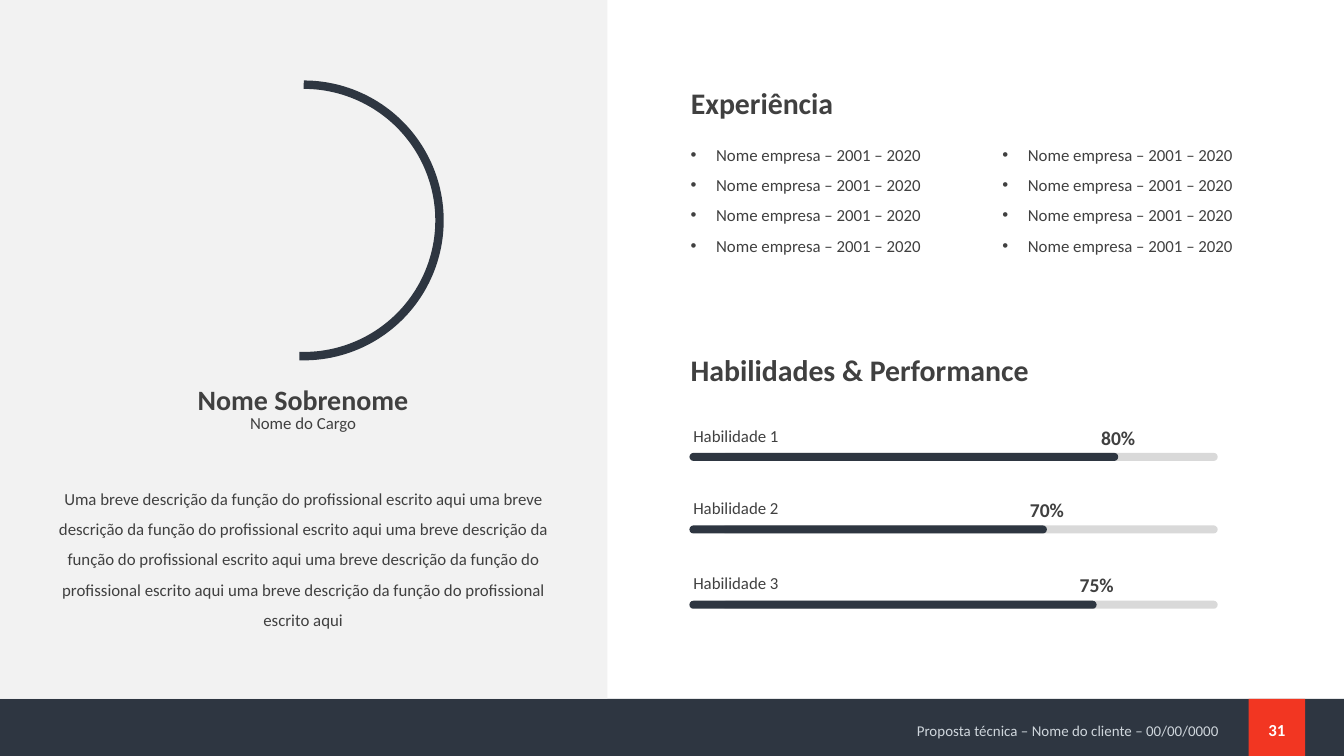
from dataclasses import dataclass

from lxml import etree
from pptx import Presentation
from pptx.dml.color import RGBColor
from pptx.enum.shapes import MSO_SHAPE
from pptx.enum.text import MSO_ANCHOR, MSO_AUTO_SIZE, PP_ALIGN
from pptx.oxml.ns import qn
from pptx.util import Inches, Pt

RECT, ROUND, ARC = MSO_SHAPE.RECTANGLE, MSO_SHAPE.ROUNDED_RECTANGLE, MSO_SHAPE.ARC
LEFT, CENTER, RIGHT = PP_ALIGN.LEFT, PP_ALIGN.CENTER, PP_ALIGN.RIGHT
TOP, MIDDLE = MSO_ANCHOR.TOP, MSO_ANCHOR.MIDDLE
TITLE_ONLY = 5
SLIDE_W = 10
SLIDE_H = SLIDE_W * 9 / 16
FOOTER_Y = 5.2


@dataclass(frozen=True)
class Theme:
    font: str = "Calibri"
    navy: str = "2E3641"
    red: str = "F23622"
    panel: str = "F2F2F2"
    track: str = "D9D9D9"
    text: str = "404040"
    footer: str = "CFD6DC"
    white: str = "FFFFFF"
    heading: float = 16
    name: float = 15
    value: float = 10.5
    body: float = 9
    small: float = 8


T = Theme()
DESCRIPTION = " ".join(
    ["Uma breve descrição da função do profissional escrito aqui"]
    + ["uma breve descrição da função do profissional escrito aqui"] * 4
)
JOBS = ["Nome empresa – 2001 – 2020"] * 4
SKILLS = [
    ("Habilidade 1", "80%", 3.37, 3.19),
    ("Habilidade 2", "70%", 3.91, 2.66),
    ("Habilidade 3", "75%", 4.47, 3.03),
]


def inches(box):
    return [Inches(v) for v in box]


def set_attrs(obj, values):
    for name, value in values.items():
        setattr(obj, name, value)


def add_bullet(p):
    pPr = p._p.get_or_add_pPr()
    pPr.set("marL", str(Inches(0.19)))
    pPr.set("indent", str(-Inches(0.19)))
    etree.SubElement(pPr, qn("a:buFont")).set("typeface", "Arial")
    etree.SubElement(pPr, qn("a:buChar")).set("char", "•")


def write(shape, lines, size=T.body, color=T.text, bold=False, align=LEFT,
          spacing=1.0, anchor=TOP, inset=0.05, bullets=False):
    tf = shape.text_frame
    set_attrs(tf, {
        "word_wrap": True, "auto_size": MSO_AUTO_SIZE.NONE,
        "vertical_anchor": anchor,
        "margin_left": Inches(0.1), "margin_right": Inches(0.1),
        "margin_top": Inches(inset), "margin_bottom": Inches(inset),
    })
    for i, line in enumerate(lines):
        p = tf.add_paragraph() if i else tf.paragraphs[0]
        set_attrs(p, {"alignment": align, "line_spacing": spacing})
        if bullets:
            add_bullet(p)
        r = p.add_run()
        r.text = line
        set_attrs(r.font, {"name": T.font, "size": Pt(size), "bold": bold})
        r.font.color.rgb = RGBColor.from_string(color)


def add_text(s, box, lines, **style):
    write(s.shapes.add_textbox(*inches(box)), lines, **style)


def add_title(s, box, text, **style):
    title = s.shapes.title
    set_attrs(title, dict(zip(("left", "top", "width", "height"), inches(box))))
    write(title, [text], **style)


def add_block(s, box, color, kind=RECT):
    sp = s.shapes.add_shape(kind, *inches(box))
    sp.shadow.inherit = False
    sp.fill.solid()
    sp.fill.fore_color.rgb = RGBColor.from_string(color)
    sp.line.fill.background()
    if kind == ROUND:
        sp.adjustments[0] = 0.5


def add_photo_arc(s, box):
    sp = s.shapes.add_shape(ARC, *inches(box))
    sp.shadow.inherit = False
    sp.adjustments[0], sp.adjustments[1] = 162, 55.1
    sp.fill.background()
    sp.line.color.rgb = RGBColor.from_string(T.navy)
    sp.line.width = Pt(4.5)


def add_skill(s, label, value, y, width):
    left = 5.13
    add_block(s, (5.37, y, 3.69, 0.06), T.track, ROUND)
    add_block(s, (left, y, width, 0.06), T.navy, ROUND)
    add_text(s, (5.06, y - 0.33, 1.28, 0.31), [label], spacing=1.5)
    add_text(s, (left + width - 0.37, y - 0.34, 0.74, 0.34), [value],
             size=T.value, bold=True, align=CENTER, spacing=1.5)


def add_footer(s):
    height = SLIDE_H - FOOTER_Y
    add_block(s, (0, FOOTER_Y, SLIDE_W, height), T.navy)
    add_block(s, (9.29, FOOTER_Y, 0.42, height), T.red)
    add_text(s, (5.59, 5.34, 3.58, 0.21),
             ["Proposta técnica – Nome do cliente – 00/00/0000"],
             size=T.small, color=T.footer, align=RIGHT, spacing=0.9,
             anchor=MIDDLE)
    add_text(s, (9.29, 5.28, 0.42, 0.3), ["31"], color=T.white, bold=True,
             align=CENTER, anchor=MIDDLE)


def add_profile(s):
    add_block(s, (0, 0, 4.52, FOOTER_Y), T.panel)
    add_photo_arc(s, (1.25, 0.63, 2.02, 2.02))
    add_text(s, (1.22, 2.67, 2.07, 0.45), ["Nome Sobrenome"], size=T.name,
             bold=True, align=CENTER, spacing=1.5)
    add_text(s, (1.22, 3.06, 2.07, 0.17), ["Nome do Cargo"], align=CENTER,
             anchor=MIDDLE, inset=0)
    add_text(s, (0.3, 3.51, 3.91, 1.22), [DESCRIPTION], align=CENTER, spacing=1.5)


def main():
    prs = Presentation()
    prs.slide_width, prs.slide_height = Inches(SLIDE_W), Inches(SLIDE_H)
    s = prs.slides.add_slide(prs.slide_layouts[TITLE_ONLY])
    heading = {"size": T.heading, "bold": True}

    add_footer(s)
    add_profile(s)
    add_title(s, (5.04, 0.58, 2.75, 0.37), "Experiência", **heading)
    for x in (5.04, 7.36):
        add_text(s, (x, 0.95, 2.16, 0.99), JOBS, spacing=1.5, bullets=True)
    add_text(s, (5.04, 2.57, 4.5, 0.37), ["Habilidades & Performance"], **heading)
    for skill in SKILLS:
        add_skill(s, *skill)
    prs.save("out.pptx")


if __name__ == "__main__":
    main()
